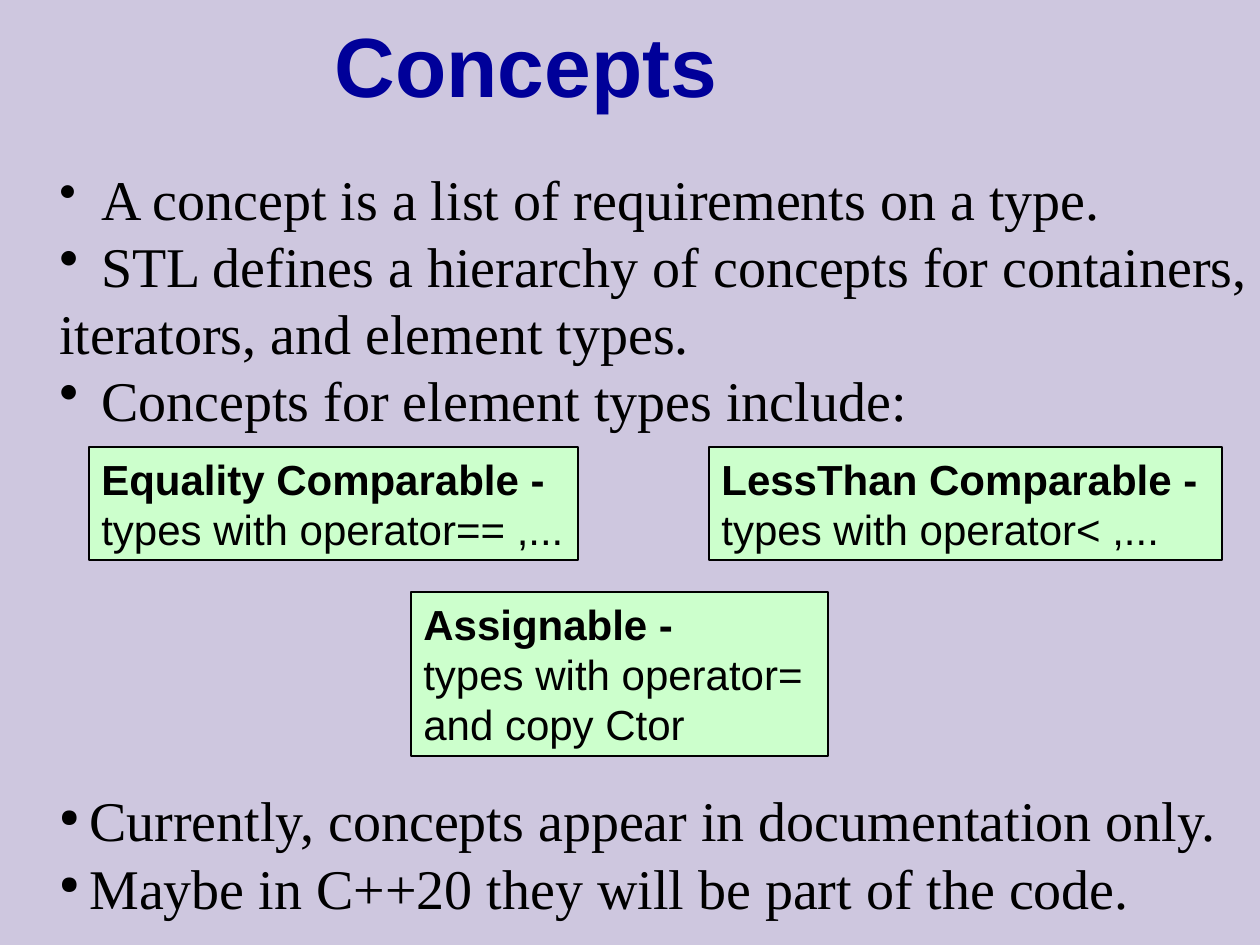
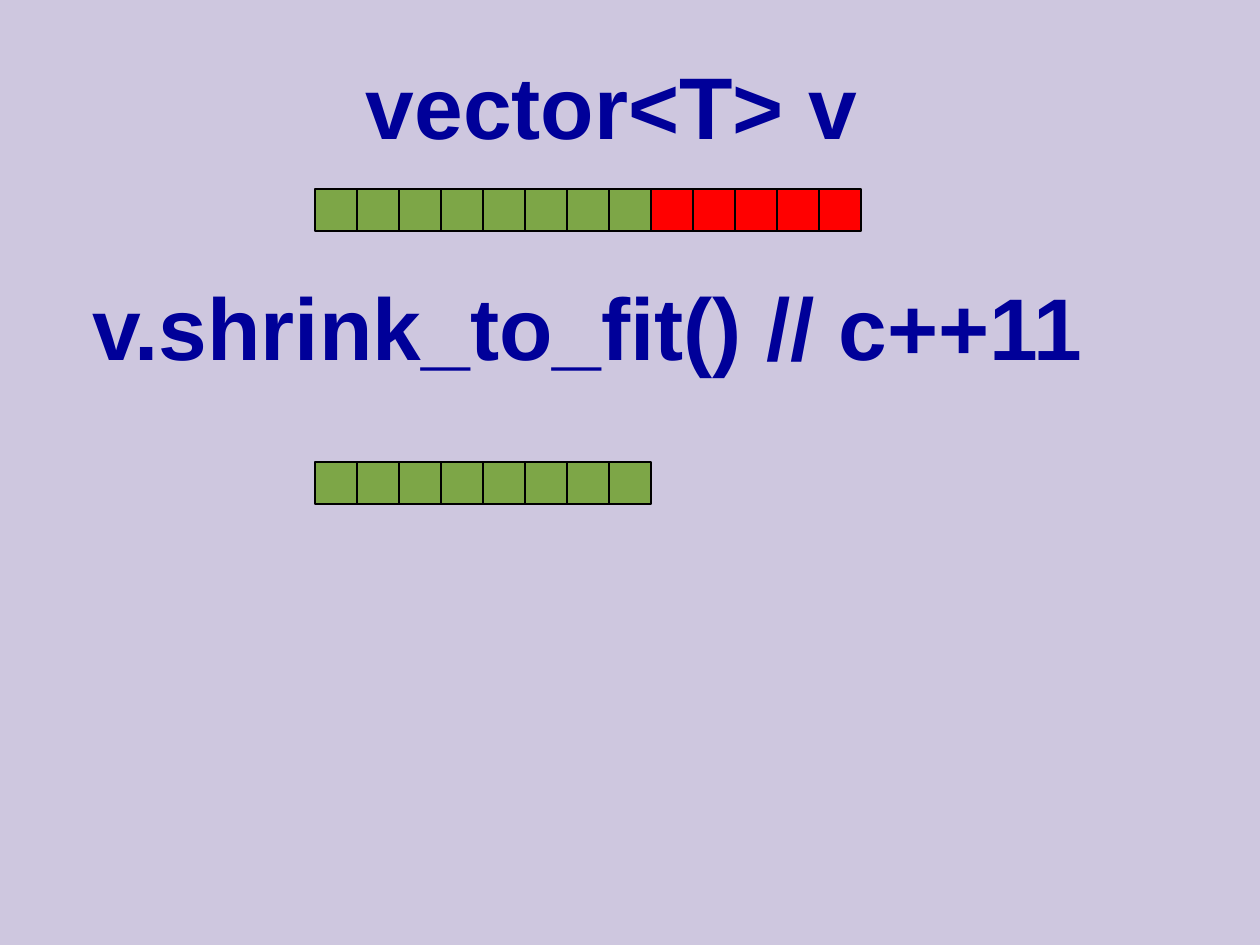
from dataclasses import dataclass

from lxml import etree
from pptx import Presentation
from pptx.dml.color import RGBColor
from pptx.enum.shapes import MSO_SHAPE
from pptx.enum.text import MSO_ANCHOR, PP_ALIGN
from pptx.oxml.ns import qn
from pptx.util import Emu, Pt

RECT = MSO_SHAPE.RECTANGLE
MIDDLE, TOP = MSO_ANCHOR.MIDDLE, MSO_ANCHOR.TOP
CENTER, LEFT = PP_ALIGN.CENTER, PP_ALIGN.LEFT
SCALE = 914400 / 126  # EMU in one px
BLANK = 6


@dataclass(frozen=True)
class Theme:
    back: str = "CEC7DF"
    title: str = "000099"
    ink: str = "000000"
    note: str = "CCFFCC"
    used: str = "7DA647"
    spare: str = "FF0000"
    sans: str = "Arial"
    serif: str = "Times New Roman"
    head: int = 48
    code: int = 50
    body: int = 32
    small: int = 24
    gap: int = 28
    lead: float = 1.2  # line height per type size


@dataclass(frozen=True)
class Box:
    left: int
    top: int
    width: int
    height: int


@dataclass(frozen=True)
class Point:
    text: str
    mark: str = ""
    size: int = 100  # bullet size in percent
    indent: int = 0
    gap: int = 0  # free lines before


@dataclass(frozen=True)
class Note:
    box: Box
    lines: tuple[str, ...]


THEME = Theme()

POINTS = (
    Point("A concept is a list of requirements on a type.", "•", 88, 42),
    Point("STL defines a hierarchy of concepts for containers,", "•", 100, 42),
    Point("iterators, and element types."),
    Point("Concepts for element types include:", "•", 100, 42),
    Point("Currently, concepts appear in documentation only.", "●", 45, 30, 6),
    Point("Maybe in C++20 they will be part of the code.", "●", 45, 30),
)

NOTES = (
    Note(Box(709, 447, 513, 113),
         ("LessThan Comparable -", "types with operator< ,...")),
    Note(Box(89, 447, 489, 113),
         ("Equality Comparable -", "types with operator== ,...")),
    Note(Box(411, 592, 417, 164),
         ("Assignable -", "types with operator=", "and copy Ctor")),
)


def px(count: float) -> Emu:
    return Emu(round(count * SCALE))


def place(box: Box) -> tuple[Emu, ...]:
    return px(box.left), px(box.top), px(box.width), px(box.height)


def style(para, font: str, size: int, color: str, bold: bool = False) -> None:
    para.line_spacing = Pt(size * THEME.lead)
    for run in para.runs:
        run.font.name = font
        run.font.size = Pt(size)
        run.font.bold = bold
        run.font.color.rgb = RGBColor.from_string(color)


def bullet(para, point: Point) -> None:
    props = para._p.get_or_add_pPr()
    props.set("marL", str(px(point.indent)))
    props.set("indent", str(px(-point.indent)))
    color = etree.SubElement(props, qn("a:buClr"))
    etree.SubElement(color, qn("a:srgbClr"), val=THEME.ink)
    etree.SubElement(props, qn("a:buSzPct"), val=str(point.size * 1000))
    etree.SubElement(props, qn("a:buChar"), char=point.mark)


def add_slide(deck):
    slide = deck.slides.add_slide(deck.slide_layouts[BLANK])
    fill = slide.background.fill
    fill.solid()
    fill.fore_color.rgb = RGBColor.from_string(THEME.back)
    return slide


def add_title(slide, box: Box, text: str, size: int) -> None:
    frame = slide.shapes.add_textbox(*place(box)).text_frame
    frame.margin_left = frame.margin_right = 0
    frame.margin_top = frame.margin_bottom = 0
    frame.word_wrap = False
    frame.vertical_anchor = MIDDLE
    frame.text = text
    para = frame.paragraphs[0]
    para.alignment = CENTER
    style(para, THEME.sans, size, THEME.title, True)


def add_points(slide, box: Box, points: tuple[Point, ...]) -> None:
    frame = slide.shapes.add_textbox(*place(box)).text_frame
    frame.word_wrap = True
    frame.margin_right = 0
    frame.text = "\n".join(point.text for point in points)
    for para, point in zip(frame.paragraphs, points):
        if point.mark:
            bullet(para, point)
        if point.gap:
            para.space_before = Pt(point.gap * THEME.gap * THEME.lead)
        style(para, THEME.serif, THEME.body, THEME.ink)


def add_rect(slide, box: Box, fill: str, line: float):
    shape = slide.shapes.add_shape(RECT, *place(box))
    shape.shadow.inherit = False
    shape.fill.solid()
    shape.fill.fore_color.rgb = RGBColor.from_string(fill)
    shape.line.color.rgb = RGBColor.from_string(THEME.ink)
    shape.line.width = Pt(line)
    return shape


def add_note(slide, note: Note) -> None:
    frame = add_rect(slide, note.box, THEME.note, 1).text_frame
    frame.vertical_anchor = TOP
    frame.word_wrap = True
    frame.text = "\n".join(note.lines)
    for row, para in enumerate(frame.paragraphs):
        para.alignment = LEFT
        style(para, THEME.sans, THEME.small, THEME.ink, row == 0)


def add_cells(slide, top: int, used: int, spare: int = 0) -> None:
    left, side = 315, 42
    fills = [THEME.used] * used + [THEME.spare] * spare
    for col, fill in enumerate(fills):
        add_rect(slide, Box(left + col * side, top, side, side), fill, 0.75)


def main() -> None:
    deck = Presentation()
    deck.slide_width, deck.slide_height = px(1260), px(945)

    # Concepts
    slide = add_slide(deck)
    add_title(slide, Box(282, -21, 488, 170), "Concepts", THEME.head)
    add_points(slide, Box(47, 158, 1213, 769), POINTS)
    for note in NOTES:
        add_note(slide, note)

    # Vector before and after shrinking
    slide = add_slide(deck)
    add_title(slide, Box(364, 26, 495, 158), "vector<T> v", THEME.code)
    add_cells(slide, 189, 8, 5)
    add_title(slide, Box(92, 273, 992, 105),
              "v.shrink_to_fit() // c++11", THEME.code)
    add_cells(slide, 462, 8)

    deck.save("out.pptx")


if __name__ == "__main__":
    main()
